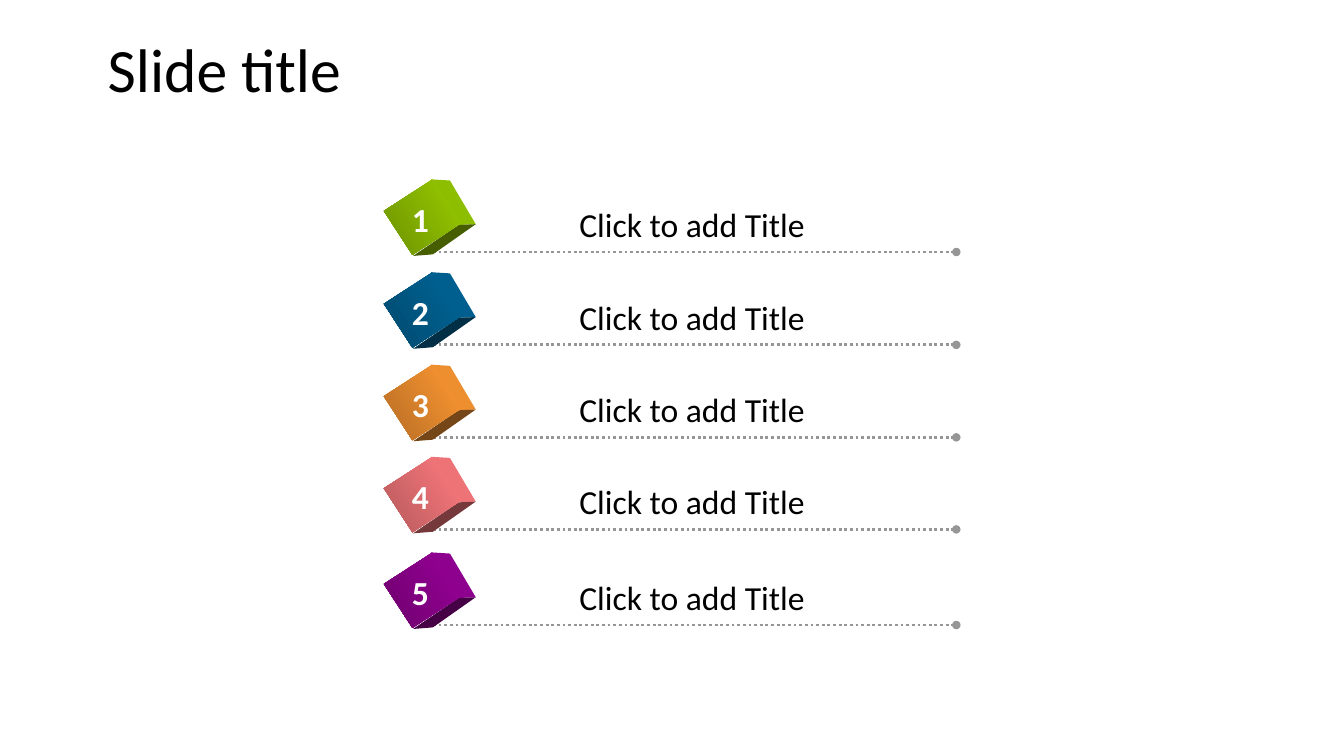
from lxml import etree
from pptx import Presentation
from pptx.dml.color import RGBColor
from pptx.enum.dml import MSO_LINE
from pptx.enum.shapes import MSO_CONNECTOR, MSO_SHAPE
from pptx.enum.text import MSO_ANCHOR, MSO_AUTO_SIZE, PP_ALIGN
from pptx.oxml.ns import qn
from pptx.util import Cm, Pt

DOTTED = MSO_LINE.ROUND_DOT
STRAIGHT = MSO_CONNECTOR.STRAIGHT
RECTANGLE = MSO_SHAPE.RECTANGLE
MIDDLE = MSO_ANCHOR.MIDDLE
GROW = MSO_AUTO_SIZE.SHAPE_TO_FIT_TEXT
LEFT = PP_ALIGN.LEFT
TITLE_ONLY = 5

BLACK = RGBColor(0x00, 0x00, 0x00)
WHITE = RGBColor(0xFF, 0xFF, 0xFF)
GRAY = RGBColor(0x96, 0x96, 0x96)
GREEN = RGBColor(0x99, 0xCC, 0x00)
DARK_GREEN = RGBColor(0x6D, 0x92, 0x00)
BLUE = RGBColor(0x00, 0x66, 0x99)
DARK_BLUE = RGBColor(0x00, 0x49, 0x6D)
ORANGE = RGBColor(0xFF, 0x99, 0x33)
DARK_ORANGE = RGBColor(0xB6, 0x6D, 0x24)
PINK = RGBColor(0xFF, 0x7C, 0x80)
DARK_PINK = RGBColor(0xB6, 0x59, 0x5C)
PURPLE = RGBColor(0x99, 0x00, 0x99)
DARK_PURPLE = RGBColor(0x6D, 0x00, 0x6D)

TITLE_FONT = {"name": "Calibri", "size": Pt(44), "bold": False}
ITEM_FONT = {"name": "Calibri", "size": Pt(24), "bold": False}
NUMBER_FONT = {"name": "Calibri", "size": Pt(24), "bold": True}
LABEL_FRAME = {"word_wrap": False, "auto_size": GROW}

ROW_LEFT = 9.75
ROWS = [
    (4.5, "Click to add Title", GREEN, DARK_GREEN),
    (6.84, "Click to add Title", BLUE, DARK_BLUE),
    (9.17, "Click to add Title", ORANGE, DARK_ORANGE),
    (11.49, "Click to add Title", PINK, DARK_PINK),
    (13.9, "Click to add Title", PURPLE, DARK_PURPLE),
]
RIGHT_FACE = [(1.11, 0.02), (1.59, 0.05), (2.24, 1.15), (1.81, 1.17)]
BOTTOM_FACE = [(0.66, 1.95), (1.16, 1.91), (2.24, 1.15), (1.81, 1.17)]


def apply_format(target, values):
    """Set every attribute named in values on the target."""
    for name, value in values.items():
        setattr(target, name, value)


def shade(color, factor):
    """Return the color darkened by the factor."""
    return RGBColor(*(round(channel * factor) for channel in color))


def add_title(slide, text, left, top, width, height):
    """Place the title placeholder in the given box."""
    title = slide.shapes.title
    apply_format(title, {"left": Cm(left), "top": Cm(top),
                         "width": Cm(width), "height": Cm(height)})
    title.text_frame.text = text
    title.text_frame.vertical_anchor = MIDDLE
    paragraph = title.text_frame.paragraphs[0]
    apply_format(paragraph, {"alignment": LEFT, "line_spacing": 0.9})
    apply_format(paragraph.runs[0].font, TITLE_FONT)
    paragraph.runs[0].font.color.rgb = BLACK


def add_label(shapes, text, left, top, width, font_values, color):
    """Add one line of text that does not wrap."""
    label = shapes.add_textbox(Cm(left), Cm(top), Cm(width), Cm(1.27))
    label.text_frame.text = text
    apply_format(label.text_frame, LABEL_FRAME)
    font = label.text_frame.paragraphs[0].runs[0].font
    apply_format(font, font_values)
    font.color.rgb = color


def add_dotted_line(shapes, left, right, top):
    """Add a dotted line that ends in a round dot."""
    connector = shapes.add_connector(STRAIGHT, Cm(left), Cm(top), Cm(right), Cm(top))
    apply_format(connector.line, {"width": Pt(2), "dash_style": DOTTED})
    connector.line.color.rgb = GRAY
    etree.SubElement(connector.line._ln, qn("a:tailEnd"), type="oval")
    etree.SubElement(connector._element.spPr, qn("a:effectLst"))


def add_face(shapes, points, left, top, color):
    """Add one side face of a cube from points relative to the row."""
    corners = [(Cm(left + x), Cm(top + y)) for x, y in points]
    builder = shapes.build_freeform(*corners[0])
    builder.add_line_segments(corners[1:], close=True)
    face = builder.convert_to_shape()
    face.shadow.inherit = False
    face.fill.solid()
    face.fill.fore_color.rgb = color
    face.line.fill.background()


def add_cube(shapes, left, top, light, dark):
    """Add a tilted cube with a gradient front and two side faces."""
    add_face(shapes, RIGHT_FACE, left, top, shade(light, 0.93))
    add_face(shapes, BOTTOM_FACE, left, top, shade(light, 0.46))
    front = shapes.add_shape(RECTANGLE, Cm(left + 0.23), Cm(top + 0.25), Cm(1.32), Cm(1.45))
    front.rotation = 57
    front.shadow.inherit = False
    front.line.fill.background()
    front.fill.gradient()
    front.fill.gradient_angle = 270
    for stop, color in zip(front.fill.gradient_stops, (light, dark)):
        stop.color.rgb = color


def add_row(slide, number, text, left, top, light, dark):
    """Add a numbered cube, its text and its dotted line as one group."""
    shapes = slide.shapes.add_group_shape().shapes
    add_dotted_line(shapes, left + 1.02, left + 14.35, top + 1.85)
    add_cube(shapes, left, top, light, dark)
    add_label(shapes, text, left + 4.6, top + 0.51, 6.78, ITEM_FONT, BLACK)
    add_label(shapes, str(number), left + 0.38, top + 0.38, 0.99, NUMBER_FONT, WHITE)


def main():
    """Build the slide and save the presentation."""
    presentation = Presentation()
    apply_format(presentation, {"slide_width": Cm(33.87), "slide_height": Cm(19.05)})
    slide = presentation.slides.add_slide(presentation.slide_layouts[TITLE_ONLY])
    add_title(slide, "Slide title", 2.46, 0, 29.21, 3.68)
    for number, (top, text, light, dark) in enumerate(ROWS, start=1):
        add_row(slide, number, text, ROW_LEFT, top, light, dark)
    presentation.save("out.pptx")


if __name__ == "__main__":
    main()
